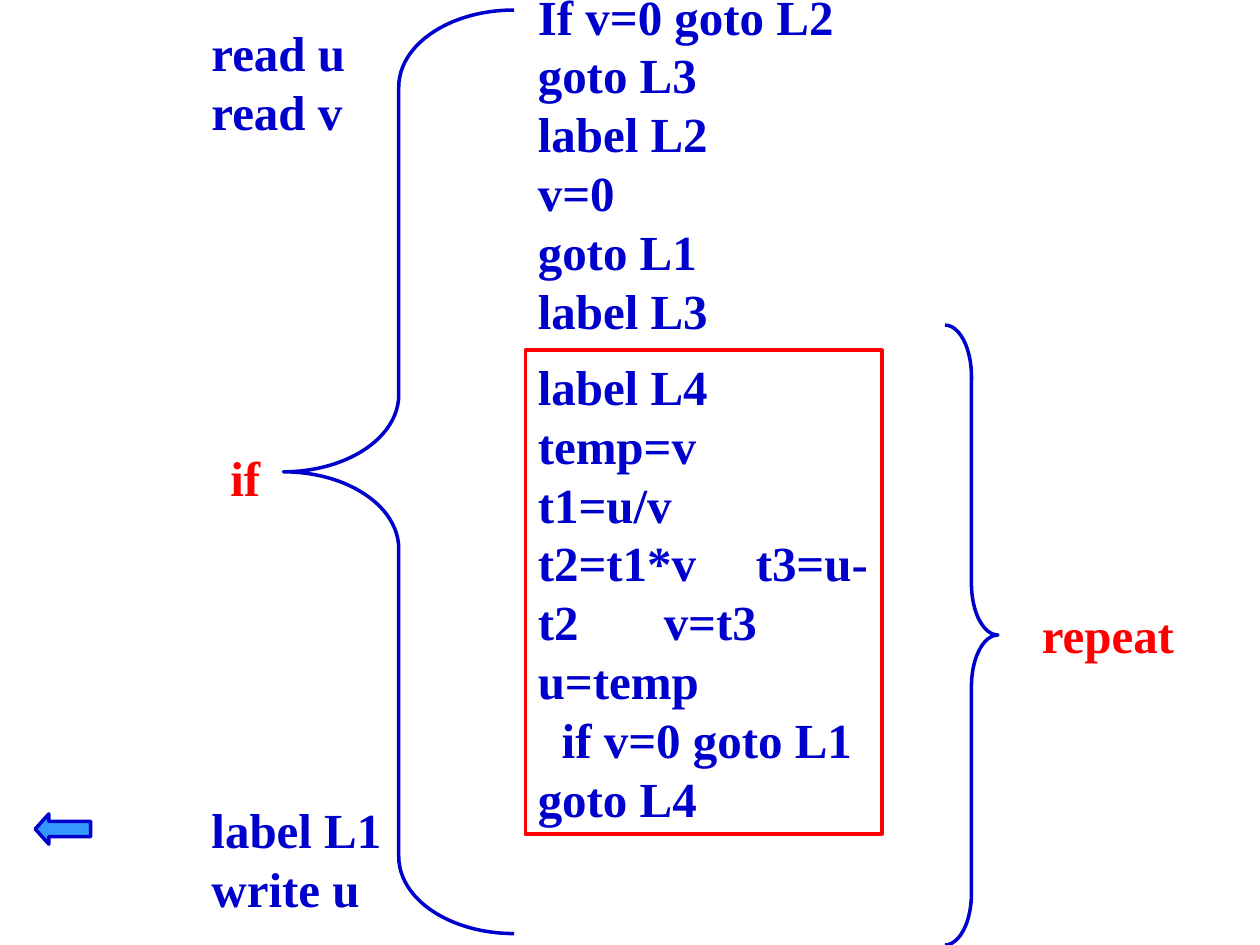
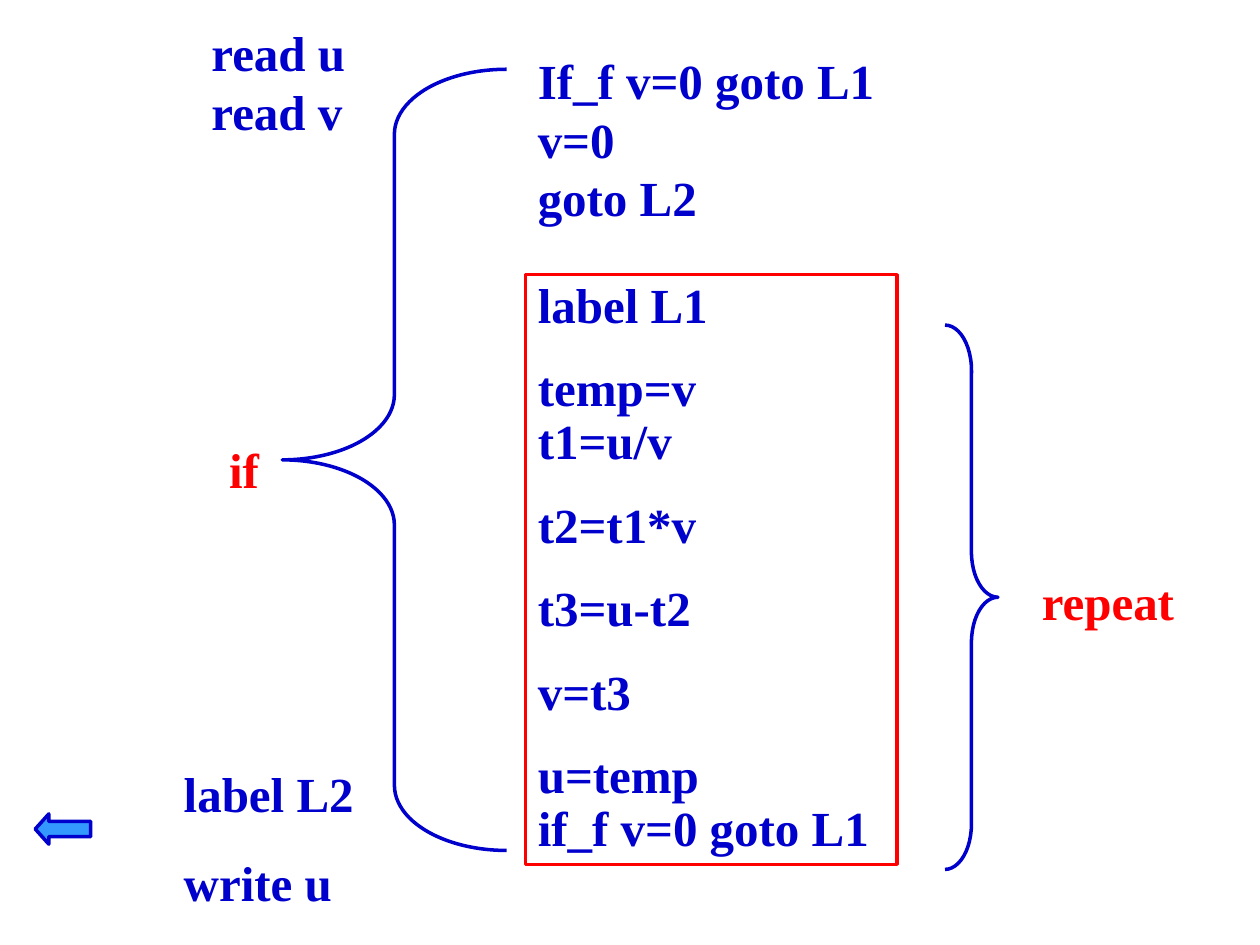
from dataclasses import dataclass

from lxml import etree
from pptx import Presentation
from pptx import util as u
from pptx.dml.color import RGBColor
from pptx.enum import shapes, text
from pptx.oxml.ns import qn

PX = 9144  # EMU per px, 100 px to the inch


@dataclass(frozen=True)
class Theme:
    font: str = "Times New Roman"
    size: int = 28
    space_before: float = 17.5
    line_width: int = 2
    code: RGBColor = RGBColor(0x00, 0x00, 0xCC)
    accent: RGBColor = RGBColor(0xFF, 0x00, 0x00)
    arrow: RGBColor = RGBColor(0x33, 0x99, 0xFF)


class CodeDeck:
    def __init__(self, theme):
        self.theme = theme
        self.deck = Presentation()
        self.deck.slide_width = 1000 * PX
        self.deck.slide_height = 750 * PX
        self.page = None

    def new_page(self):
        self.page = self.deck.slides.add_slide(self.deck.slide_layouts[6])

    def set_text(self, box, content, color, line_spacing=None, tabs=()):
        """Fill a box: paragraphs split at newlines, lines at vertical tabs."""
        frame = box.text_frame
        frame.text = content
        frame.word_wrap = True
        frame.vertical_anchor = text.MSO_ANCHOR.TOP
        for index, para in enumerate(frame.paragraphs):
            para.alignment = text.PP_ALIGN.LEFT
            para.line_spacing = line_spacing
            if index:
                para.space_before = u.Pt(self.theme.space_before)
            if tabs:
                stops = etree.SubElement(para._p.get_or_add_pPr(), qn("a:tabLst"))
                for stop in tabs:
                    etree.SubElement(stops, qn("a:tab"), pos=str(stop * PX), algn="l")
            for span in para.runs:
                span.font.name = self.theme.font
                span.font.size = u.Pt(self.theme.size)
                span.font.bold = True
                span.font.color.rgb = color

    def text_box(self, area, content, color):
        box = self.page.shapes.add_textbox(*(n * PX for n in area))
        self.set_text(box, content, color)

    def code(self, area, content):
        self.text_box(area, content, self.theme.code)

    def label(self, area, content):
        self.text_box(area, content, self.theme.accent)

    def shape(self, kind, area, line, fill=None):
        shape = self.page.shapes.add_shape(kind, *(n * PX for n in area))
        shape.shadow.inherit = False
        shape.line.color.rgb = line
        shape.line.width = u.Pt(self.theme.line_width)
        if fill is None:
            shape.fill.background()
        else:
            shape.fill.solid()
            shape.fill.fore_color.rgb = fill
        return shape

    def loop_body(self, area, content, **layout):
        box = self.shape(shapes.MSO_SHAPE.RECTANGLE, area, self.theme.accent)
        self.set_text(box, content, self.theme.code, **layout)

    def brace(self, kind, area):
        """Draw a brace whose curves are each a twelfth of its height."""
        brace = self.shape(kind, area, self.theme.code)
        width, height = area[2:]
        brace.adjustments[0] = height / 12 / width
        brace.adjustments[1] = 0.5

    def if_brace(self, area, label_top):
        self.brace(shapes.MSO_SHAPE.LEFT_BRACE, area)
        self.label((area[0] - 52, label_top, 50, 57), "if")

    def repeat_brace(self, height, label_top):
        self.brace(shapes.MSO_SHAPE.RIGHT_BRACE, (750, 258, 42, height))
        self.label((817, label_top, 142, 57), "repeat")

    def back_arrow(self):
        arrow = self.shape(shapes.MSO_SHAPE.LEFT_ARROW, (28, 646, 44, 24),
                           self.theme.code, self.theme.arrow)
        arrow.adjustments[0] = 0.5
        arrow.adjustments[1] = 0.45

    def input_code(self):
        self.code((158, 13, 142, 104), "read u\vread v")


def goto_both_ways(deck):
    deck.new_page()
    deck.code((417, -16, 258, 291),
              "If v=0 goto L2\vgoto L3\vlabel L2\vv=0\vgoto L1\vlabel L3")
    deck.code((158, 630, 175, 104), "label L1\vwrite u")
    deck.input_code()
    deck.loop_body((417, 278, 283, 384),
                   "label L4\vtemp=v\vt1=u/v\vt2=t1*v\tt3=u-\vt2\tv=t3\v"
                   "u=temp\v\tif v=0 goto L1\vgoto L4",
                   tabs=(19, 100, 173))
    deck.if_brace((225, 8, 183, 733), 350)
    deck.repeat_brace(492, 475)
    deck.back_arrow()


def goto_if_false(deck):
    deck.new_page()
    deck.code((417, 35, 290, 167), "If_f v=0 goto L1\vv=0\vgoto L2")
    deck.code((136, 601, 212, 128), "label L2\nwrite u")
    deck.input_code()
    deck.loop_body((417, 218, 295, 468),
                   "label L1\ntemp=v\vt1=u/v\nt2=t1*v\nt3=u-t2\nv=t3\n"
                   "u=temp\vif_f v=0 goto L1",
                   line_spacing=0.9)
    deck.if_brace((224, 55, 178, 620), 344)
    deck.repeat_brace(432, 449)
    deck.back_arrow()


def main():
    code_deck = CodeDeck(Theme())
    goto_both_ways(code_deck)
    goto_if_false(code_deck)
    code_deck.deck.save("out.pptx")


if __name__ == "__main__":
    main()
